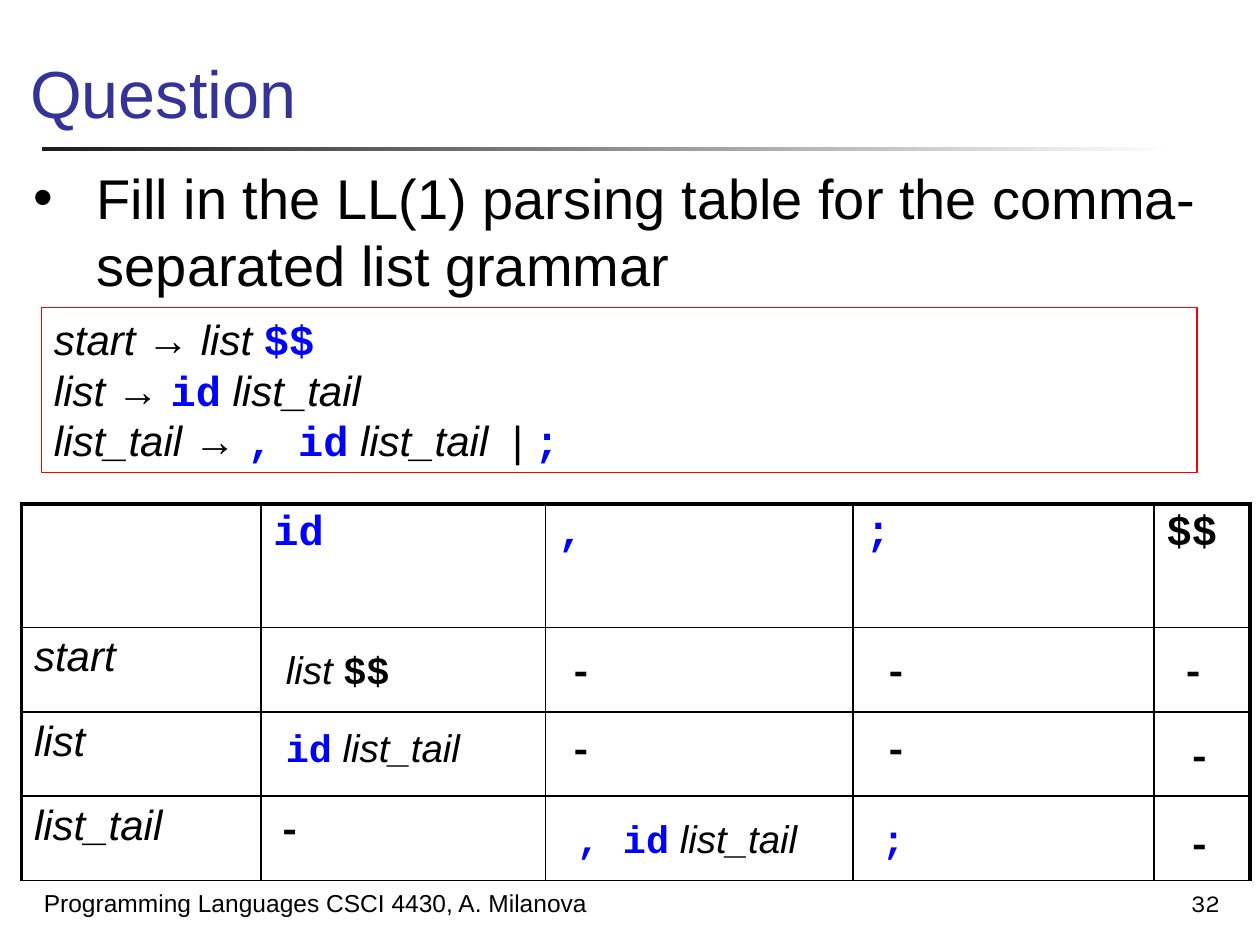
"""Build a slide asking for the LL(1) parsing table of a list grammar."""
from typing import NamedTuple

from lxml import etree
from pptx import Presentation
from pptx.dml.color import RGBColor
from pptx.enum.shapes import MSO_SHAPE
from pptx.enum.text import MSO_ANCHOR, MSO_AUTO_SIZE, PP_ALIGN
from pptx.oxml.ns import qn
from pptx.util import Inches, Pt

RECTANGLE = MSO_SHAPE.RECTANGLE
TOP, BOTTOM = MSO_ANCHOR.TOP, MSO_ANCHOR.BOTTOM
LEFT, RIGHT = PP_ALIGN.LEFT, PP_ALIGN.RIGHT
FIT_SHAPE, FIXED_SIZE = MSO_AUTO_SIZE.SHAPE_TO_FIT_TEXT, MSO_AUTO_SIZE.NONE
COLORS = {
    "black": "000000", "white": "FFFFFF", "title": "333399",
    "terminal": "0000FF", "frame": "FF0000", "rule": "1C1C1C",
}


class Style(NamedTuple):
    font: str = "Arial"
    color: str = "black"
    bold: bool = False
    italic: bool = False


class Span(NamedTuple):
    text: str
    style: Style


class Box(NamedTuple):
    left: float
    top: float
    width: float
    height: float


class Entry(NamedTuple):
    box: Box
    spans: list[Span]


PLAIN = Style()
TITLE = Style(color="title")
NUMBER = Style(font="Karla")
NONTERMINAL = Style(italic=True)
TERMINAL = Style("Courier New", "terminal", bold=True)
SYMBOL = Style("Courier New", bold=True)

GRAMMAR = [
    [Span("start → list ", NONTERMINAL), Span("$$", TERMINAL)],
    [Span("list → ", NONTERMINAL), Span("id", TERMINAL), Span(" list_tail", NONTERMINAL)],
    [Span("list_tail → ", NONTERMINAL), Span(", id", TERMINAL),
     Span(" list_tail  | ", NONTERMINAL), Span(";", TERMINAL)],
]
COLUMN_WIDTHS = [1.9, 2.26, 2.44, 2.39, 0.76]
ROW_HEIGHTS = [0.98, 0.67, 0.67, 0.67]
COLUMN_HEADS = [Span("id", TERMINAL), Span(",", TERMINAL), Span(";", TERMINAL), Span("$$", SYMBOL)]
ROW_HEADS = [Span(name, NONTERMINAL) for name in ("start", "list", "list_tail")]
ENTRY_HEIGHT, MARK_WIDTH = 0.47, 0.39
ENTRIES = [
    Entry(Box(2.17, 5.08, 1.06, ENTRY_HEIGHT), [Span("list ", NONTERMINAL), Span("$$", SYMBOL)]),
    Entry(Box(2.17, 5.7, 1.62, ENTRY_HEIGHT), [Span("id", TERMINAL), Span(" list_tail", NONTERMINAL)]),
    Entry(Box(4.48, 6.42, 1.98, ENTRY_HEIGHT), [Span(", id", TERMINAL), Span(" list_tail", NONTERMINAL)]),
    Entry(Box(6.9, 6.42, MARK_WIDTH, ENTRY_HEIGHT), [Span(";", TERMINAL)]),
]
ERROR_POSITIONS = [
    (2.11, 6.33), (4.42, 5.08), (4.42, 5.7), (6.92, 5.08),
    (6.92, 5.7), (9.28, 5.08), (9.33, 5.75), (9.33, 6.45),
]
ENTRIES += [
    Entry(Box(left, top, MARK_WIDTH, ENTRY_HEIGHT), [Span("-", SYMBOL)])
    for left, top in ERROR_POSITIONS
]


def rgb(name: str) -> RGBColor:
    """Look up a colour by name."""
    return RGBColor.from_string(COLORS[name])


def inches(box: Box) -> list[Inches]:
    """Turn a box into lengths."""
    return [Inches(value) for value in box]


def write_spans(paragraph, spans: list[Span], size: float) -> None:
    """Add styled runs to a paragraph."""
    for span in spans:
        run = paragraph.add_run()
        run.text = span.text
        font = run.font
        font.name, font.size = span.style.font, Pt(size)
        font.bold, font.italic = span.style.bold, span.style.italic
        font.color.rgb = rgb(span.style.color)


def add_text(slide, box: Box, spans: list[Span], size: float, anchor=TOP, align=LEFT, wrap=True):
    """Add a one-paragraph text box and return its paragraph."""
    text_frame = slide.shapes.add_textbox(*inches(box)).text_frame
    text_frame.word_wrap = wrap
    text_frame.auto_size = FIXED_SIZE if wrap else FIT_SHAPE
    text_frame.vertical_anchor = anchor
    paragraph = text_frame.paragraphs[0]
    paragraph.alignment = align
    write_spans(paragraph, spans, size)
    return paragraph


def add_title(slide) -> None:
    """Place the title and the fading rule below it."""
    rule = slide.shapes.add_shape(RECTANGLE, *inches(Box(0.33, 1.17, 9, 0.03)))
    rule.shadow.inherit = False
    rule.line.fill.background()
    rule.fill.gradient()
    rule.fill.gradient_angle = 0
    for stop, color in zip(rule.fill.gradient_stops, ("rule", "white")):
        stop.color.rgb = rgb(color)
    title = slide.shapes.title
    title.left, title.top, title.width, title.height = inches(Box(0.14, 0, 9.52, 1.1))
    title.text_frame.vertical_anchor = BOTTOM
    paragraph = title.text_frame.paragraphs[0]
    paragraph.alignment = LEFT
    write_spans(paragraph, [Span("Question", TITLE)], 38)


def add_task(slide) -> None:
    """Add the bulleted task."""
    task = Span("Fill in the LL(1) parsing table for the comma-separated list grammar", PLAIN)
    paragraph = add_text(slide, Box(0.17, 1.25, 9.67, 1.18), [task], 32)
    properties = paragraph._p.get_or_add_pPr()
    properties.set("marL", str(Inches(0.5)))
    properties.set("indent", str(-Inches(0.5)))
    etree.SubElement(properties, qn("a:buFont"), typeface="Arial")
    etree.SubElement(properties, qn("a:buChar"), char="•")


def add_grammar(slide) -> None:
    """Add the framed grammar."""
    frame = slide.shapes.add_shape(RECTANGLE, *inches(Box(0.33, 2.44, 9.17, 1.31)))
    frame.shadow.inherit = False
    frame.fill.background()
    frame.line.color.rgb = rgb("frame")
    frame.line.width = Pt(0.75)
    text_frame = frame.text_frame
    text_frame.word_wrap = True
    text_frame.vertical_anchor = TOP
    for index, production in enumerate(GRAMMAR):
        paragraph = text_frame.add_paragraph() if index else text_frame.paragraphs[0]
        paragraph.alignment = LEFT
        write_spans(paragraph, production, 24)


def set_borders(cell, widths: dict[str, float]) -> None:
    """Draw solid cell borders of the given widths."""
    properties = cell._tc.get_or_add_tcPr()
    for side, width in widths.items():
        line = etree.SubElement(properties, qn(f"a:ln{side}"), w=str(Pt(width)))
        fill = etree.SubElement(line, qn("a:solidFill"))
        etree.SubElement(fill, qn("a:srgbClr"), val=COLORS["black"])


def add_parsing_table(slide) -> None:
    """Add the table with its heads, then the entries over it."""
    rows, columns = len(ROW_HEIGHTS), len(COLUMN_WIDTHS)
    box = Box(0.17, 4, sum(COLUMN_WIDTHS), sum(ROW_HEIGHTS))
    table = slide.shapes.add_table(rows, columns, *inches(box)).table
    for column, width in zip(table.columns, COLUMN_WIDTHS):
        column.width = Inches(width)
    for row, height in zip(table.rows, ROW_HEIGHTS):
        row.height = Inches(height)
    heads = {(0, index): head for index, head in enumerate(COLUMN_HEADS, 1)}
    heads |= {(index, 0): head for index, head in enumerate(ROW_HEADS, 1)}
    for row in range(rows):
        for column in range(columns):
            cell = table.cell(row, column)
            set_borders(cell, {
                "L": 2.25 if column == 0 else 1,
                "R": 2.25 if column == columns - 1 else 1,
                "T": 2.25 if row == 0 else 1,
                "B": 1,
            })
            cell.fill.background()
            if (row, column) in heads:
                write_spans(cell.text_frame.paragraphs[0], [heads[row, column]], 24)
    for entry in ENTRIES:
        add_text(slide, entry.box, entry.spans, 22, wrap=False)


def main() -> None:
    """Build and save the slide."""
    presentation = Presentation()
    presentation.slide_width, presentation.slide_height = Inches(10), Inches(7.5)
    slide = presentation.slides.add_slide(presentation.slide_layouts[5])
    add_title(slide)
    add_task(slide)
    add_grammar(slide)
    add_parsing_table(slide)
    course = Span("Programming Languages CSCI 4430, A. Milanova", PLAIN)
    add_text(slide, Box(0.25, 6.83, 5.17, 0.5), [course], 14, BOTTOM)
    add_text(slide, Box(7.7, 6.83, 2.08, 0.5), [Span("32", NUMBER)], 14, BOTTOM, RIGHT)
    presentation.save("out.pptx")


if __name__ == "__main__":
    main()
